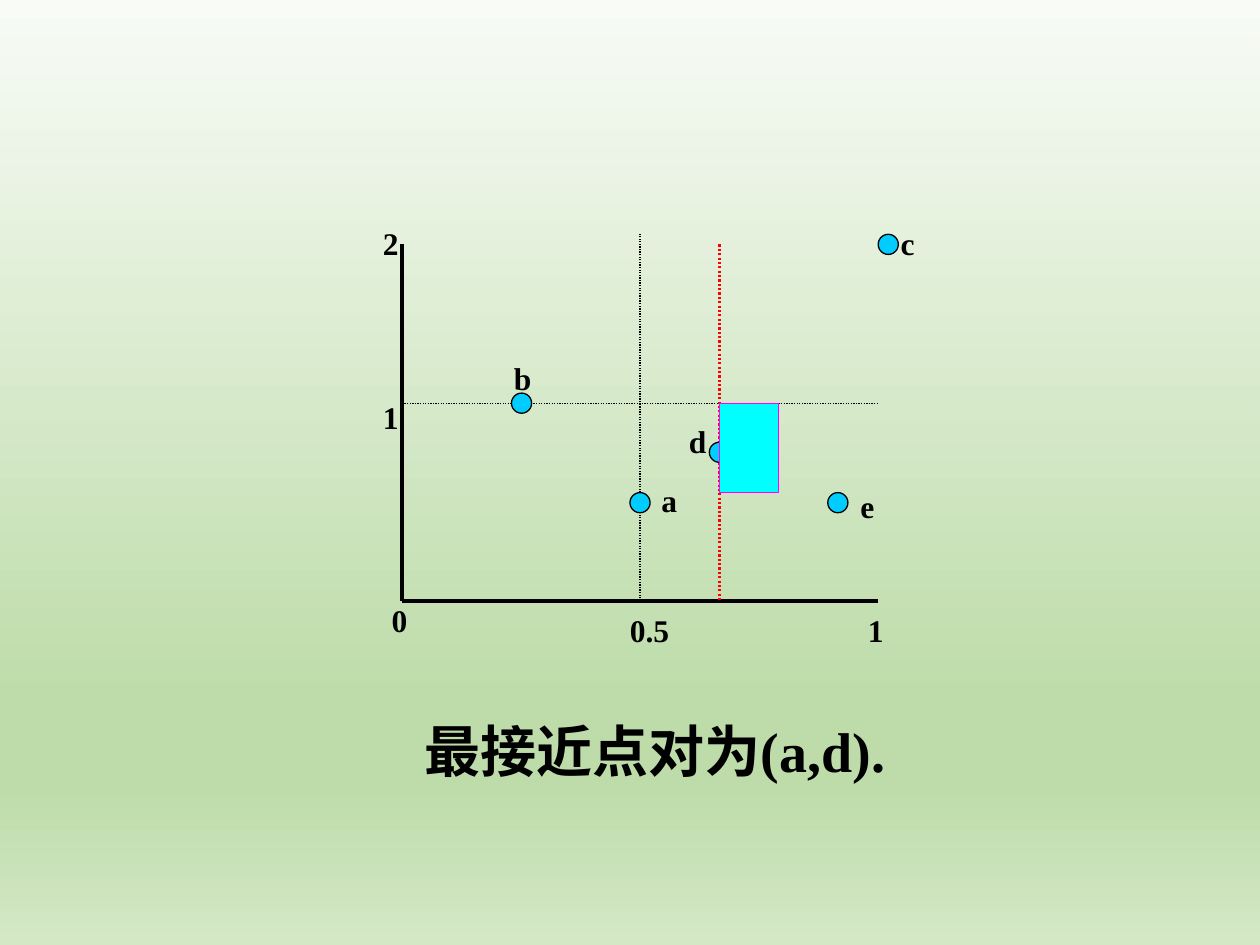
from lxml import etree
from pptx import Presentation
from pptx.dml.color import RGBColor
from pptx.enum.dml import MSO_LINE
from pptx.enum.shapes import MSO_CONNECTOR, MSO_SHAPE
from pptx.enum.text import MSO_AUTO_SIZE
from pptx.oxml import parse_xml
from pptx.oxml.ns import nsdecls, qn
from pptx.util import Inches, Pt

BLACK = RGBColor(0x00, 0x00, 0x00)
RED = RGBColor(0xFF, 0x00, 0x00)
SKY = RGBColor(0x00, 0xCC, 0xFF)
CYAN = RGBColor(0x00, 0xFF, 0xFF)
MAGENTA = RGBColor(0xFF, 0x00, 0xFF)
STOPS = [
    (0, RGBColor(0xF8, 0xFB, 0xF6)),
    (74, RGBColor(0xBE, 0xDC, 0xAA)),
    (83, RGBColor(0xBE, 0xDC, 0xAA)),
    (100, RGBColor(0xD4, 0xE8, 0xC6)),
]
SERIF = "Times New Roman"
DOT = 0.16


def paint_background(s):
    fill = s.background.fill
    fill.gradient()
    grad = s.element.find(".//" + qn("a:gradFill"))
    for child in list(grad):
        grad.remove(child)
    stops = etree.SubElement(grad, qn("a:gsLst"))
    for pos, color in STOPS:
        stops.append(parse_xml(
            f'<a:gs {nsdecls("a")} pos="{pos * 1000}">'
            f'<a:srgbClr val="{color}"/></a:gs>'))
    etree.SubElement(grad, qn("a:lin"), ang="5400000", scaled="0")


def add_line(s, x1, y1, x2, y2, color, width, dotted=False):
    line = s.shapes.add_connector(
        MSO_CONNECTOR.STRAIGHT, Inches(x1), Inches(y1), Inches(x2), Inches(y2))
    line.line.color.rgb = color
    line.line.width = Pt(width)
    if dotted:
        line.line.dash_style = MSO_LINE.ROUND_DOT
    etree.SubElement(line._element.spPr, qn("a:effectLst"))


def add_filled(s, kind, x, y, w, h, fill, color, width):
    sp = s.shapes.add_shape(kind, Inches(x), Inches(y), Inches(w), Inches(h))
    sp.shadow.inherit = False
    sp.fill.solid()
    sp.fill.fore_color.rgb = fill
    sp.line.color.rgb = color
    sp.line.width = Pt(width)


def add_text(s, x, y, w, h, runs, size, wrap=False):
    tf = s.shapes.add_textbox(Inches(x), Inches(y), Inches(w), Inches(h)).text_frame
    tf.word_wrap = wrap
    tf.auto_size = MSO_AUTO_SIZE.SHAPE_TO_FIT_TEXT
    p = tf.paragraphs[0]
    p.font.size = Pt(size)
    p.font.bold = True
    p.font.color.rgb = BLACK
    for text, font in runs:
        r = p.add_run()
        r.text = text
        r.font.name = font


def add_plot(s, x, y, w, h):
    right, bottom = x + w, y + h
    mid_x, split_x, mid_y = x + w / 2, x + w * 2 / 3, y + 1.26

    add_line(s, x, bottom, right, bottom, BLACK, 2)
    add_line(s, x, bottom, x, y, BLACK, 2)
    add_line(s, mid_x, bottom, mid_x, y - DOT / 2, BLACK, 0.75, True)
    add_line(s, x, mid_y, right, mid_y, BLACK, 0.75, True)
    add_line(s, split_x, y, split_x, bottom, RED, 1.25, True)

    points = [(3.86, 0), (1.89, 2.05), (0.95, 1.26), (3.46, 2.05), (2.52, 1.65)]
    for dx, dy in points:
        add_filled(s, MSO_SHAPE.OVAL, x + dx - DOT / 2, y + dy - DOT / 2,
                   DOT, DOT, SKY, BLACK, 0.75)
    add_filled(s, MSO_SHAPE.RECTANGLE, split_x, mid_y, 0.47, 0.71, CYAN, MAGENTA, 0)

    labels = [
        ("0.5", 1.71, 2.86, 0.51), ("1", 3.6, 2.86, 0.33),
        ("0", -0.18, 2.78, 0.33), ("1", -0.25, 1.17, 0.33),
        ("2", -0.25, -0.21, 0.33), ("c", 3.86, -0.21, 0.31),
        ("a", 1.96, 1.83, 0.33), ("b", 0.79, 0.86, 0.34),
        ("d", 2.18, 1.36, 0.34), ("e", 3.54, 1.88, 0.31),
    ]
    for text, dx, dy, width in labels:
        add_text(s, x + dx, y + dy, width, 0.4, [(text, SERIF)], 18)


def add_caption(s, x, y, w, h):
    add_text(s, x, y, w, h, [("最接近点对为", "Arial"), ("(a,d).", SERIF)], 32, True)


prs = Presentation()
prs.slide_width, prs.slide_height = Inches(10), Inches(7.5)
s = prs.slides.add_slide(prs.slide_layouts[6])
paint_background(s)
add_plot(s, 3.19, 1.94, 3.78, 2.83)
add_caption(s, 3.27, 5.64, 4.02, 0.63)
prs.save("out.pptx")
